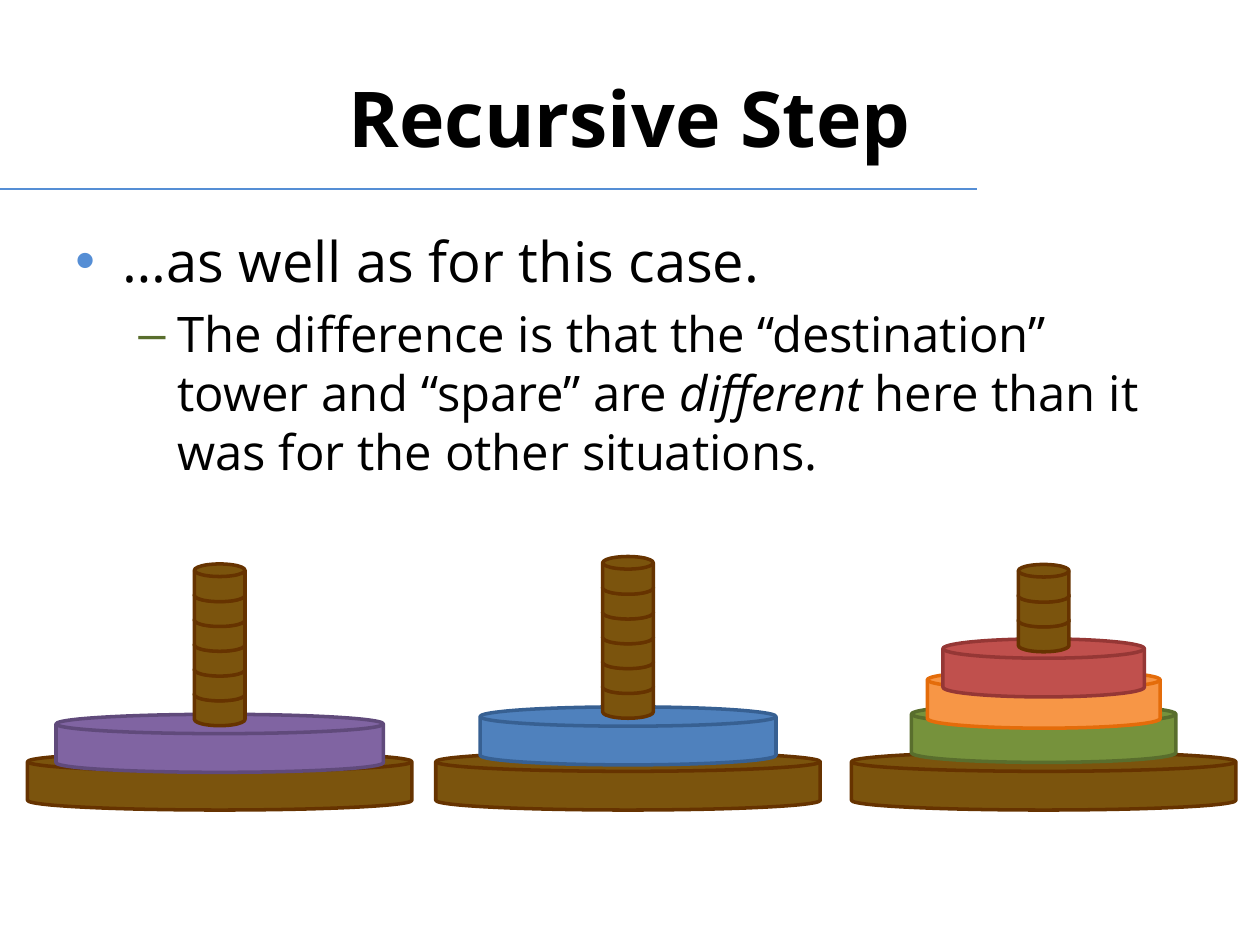
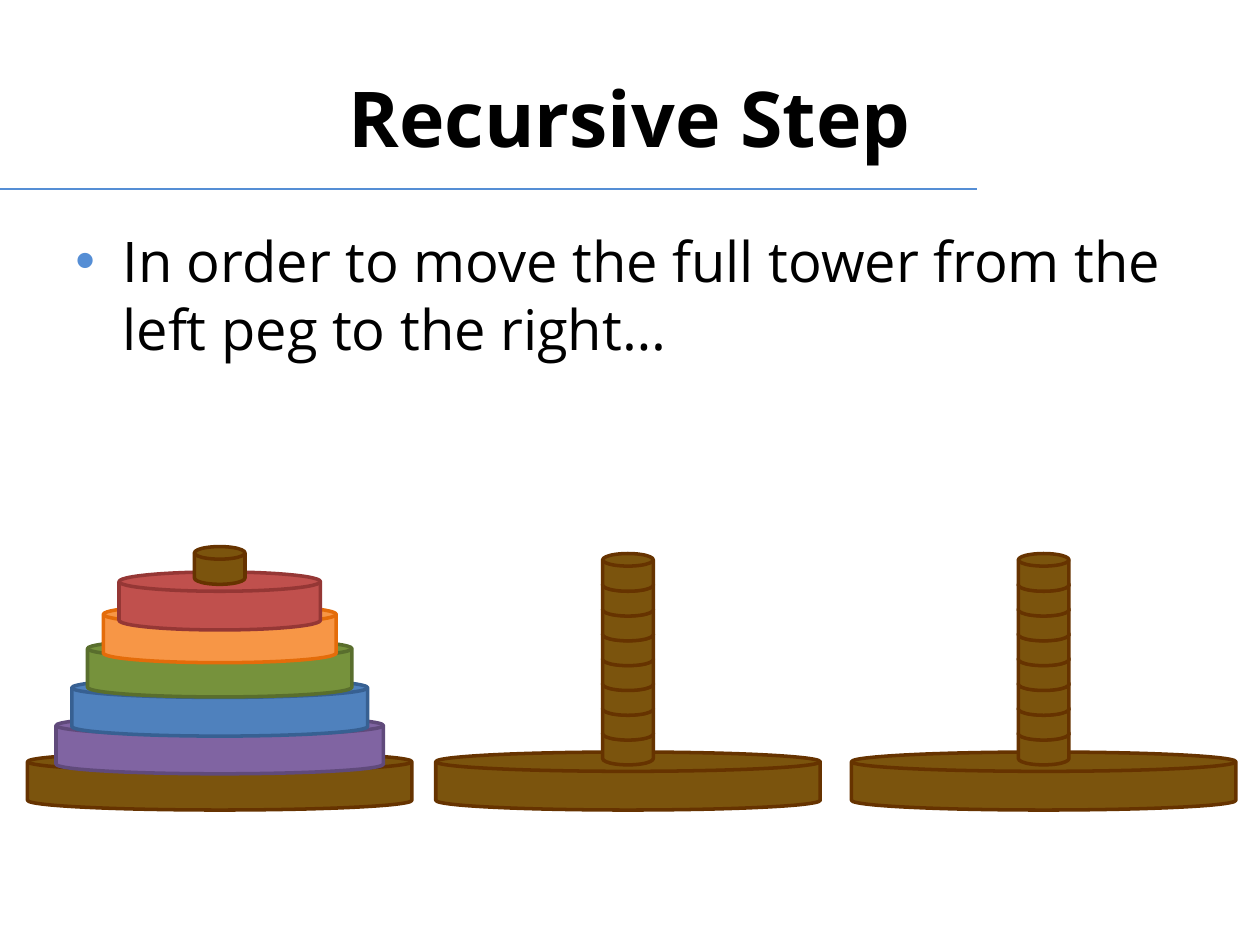
"""Builds two slides on the recursive step of the tower puzzle."""
from lxml.etree import SubElement
from pptx import Presentation
from pptx.dml.color import RGBColor
from pptx.enum.shapes import MSO_CONNECTOR, MSO_SHAPE
from pptx.enum.text import MSO_ANCHOR as Anchor, PP_ALIGN as Align
from pptx.oxml.ns import qn
from pptx.util import Cm, Pt

COLORS = {
    "text": "000000", "rule": "558ED5", "dot": "558ED5", "dash": "596E2D",
    "wood": "7B540D", "wood_edge": "663300",
    "purple": "8064A2", "purple_edge": "604A7B",
    "blue": "4F81BD", "blue_edge": "376092",
    "green": "76923C", "green_edge": "596E2D",
    "orange": "F79646", "orange_edge": "E46C0A",
    "red": "C0504D", "red_edge": "953735",
}
FONT = "Open Sans"
DISK_WIDTHS = {name: 6.6 - 0.635 * index for index, name in
               enumerate(("purple", "blue", "green", "orange", "red"))}
LEFT, MIDDLE, RIGHT = 4.43, 12.66, 21.04
BASE_TOP, BASE_WIDTH, DISK_HEIGHT = 15.16, 7.75, 1.17
PEG_WIDTH, PEG_HEIGHT, PEG_STEP = 1.02, 0.76, 0.5
LEVELS = (
    {"size": 32, "margin": 0.95, "hanging": 0.95, "bullet": "•", "color": "dot"},
    {"size": 28, "margin": 2.06, "hanging": 0.79, "bullet": "–", "color": "dash"},
)


def color(name):
    """Return the named colour."""
    return RGBColor.from_string(COLORS[name])


def add_text(paragraph, text, size=32, bold=False, italic=False):
    """Append a formatted run to the paragraph."""
    run = paragraph.add_run()
    run.text = text
    run.font.name = FONT
    run.font.size = Pt(size)
    run.font.bold = bold
    run.font.italic = italic
    run.font.color.rgb = color("text")


class Deck:
    """Holds the presentation, its style and the current slide."""

    def __init__(self):
        """Open an empty presentation of 10 by 7.5 inches."""
        self.presentation = Presentation()
        self.presentation.slide_width = Cm(25.4)
        self.presentation.slide_height = Cm(19.05)

    def new_slide(self, title):
        """Start a slide with its rule and title."""
        layout = self.presentation.slide_layouts[6]
        self.slide = self.presentation.slides.add_slide(layout)
        self.rule()
        frame = self.text_frame(0.76, 3.18)
        frame.vertical_anchor = Anchor.MIDDLE
        paragraph = frame.paragraphs[0]
        paragraph.alignment = Align.CENTER
        add_text(paragraph, title, size=44, bold=True)

    def rule(self):
        """Draw the thin line under the title."""
        line = self.slide.shapes.add_connector(
            MSO_CONNECTOR.STRAIGHT, Cm(0), Cm(3.81), Cm(19.69), Cm(3.81))
        line.line.color.rgb = color("rule")
        line.line.width = Pt(0.75)
        SubElement(line._element.spPr, qn("a:effectLst"))

    def text_frame(self, top, height):
        """Add a wrapping text box across the content width."""
        shape = self.slide.shapes.add_textbox(
            Cm(1.27), Cm(top), Cm(22.86), Cm(height))
        shape.text_frame.word_wrap = True
        return shape.text_frame

    def body(self, *items):
        """Add bulleted items, each a level and its (text, italic) runs."""
        frame = self.text_frame(4.45, 12.57)
        for index, (level, runs) in enumerate(items):
            paragraph = frame.add_paragraph() if index else frame.paragraphs[0]
            style = LEVELS[level]
            paragraph.level = level
            paragraph.space_before = Pt(style["size"] * 0.2)
            self.bullet(paragraph, style)
            for text, italic in runs:
                add_text(paragraph, text, size=style["size"], italic=italic)

    def bullet(self, paragraph, style):
        """Give the paragraph a coloured bullet and hanging indent."""
        properties = paragraph._p.get_or_add_pPr()
        properties.set("marL", str(Cm(style["margin"])))
        properties.set("indent", str(-Cm(style["hanging"])))
        fill = SubElement(properties, qn("a:buClr"))
        SubElement(fill, qn("a:srgbClr"), val=COLORS[style["color"]])
        SubElement(properties, qn("a:buFont"), typeface="Arial")
        SubElement(properties, qn("a:buChar"), char=style["bullet"])

    def disk(self, center, top, width, height, name):
        """Draw one flat cylinder around a vertical axis."""
        shape = self.slide.shapes.add_shape(
            MSO_SHAPE.FLOWCHART_MAGNETIC_DISK,
            Cm(center - width / 2), Cm(top), Cm(width), Cm(height))
        shape.shadow.inherit = False
        shape.fill.solid()
        shape.fill.fore_color.rgb = color(name)
        shape.line.color.rgb = color(name + "_edge")
        shape.line.width = Pt(2)

    def tower(self, center, peg_top, peg_count, **disk_tops):
        """Draw a base, its disks from the bottom up, and the visible peg."""
        self.disk(center, BASE_TOP, BASE_WIDTH, DISK_HEIGHT, "wood")
        for name, top in disk_tops.items():
            self.disk(center, top, DISK_WIDTHS[name], DISK_HEIGHT, name)
        for index in range(peg_count):
            top = peg_top - index * PEG_STEP
            self.disk(center, top, PEG_WIDTH, PEG_HEIGHT, "wood")


def main():
    """Build and save both slides."""
    deck = Deck()

    deck.new_slide("Recursive Step")
    deck.body(
        (0, [("…as well as for this case.", False)]),
        (1, [("The difference is that the “destination” tower and “spare” are ", False),
             ("different", True),
             (" here than it was for the other situations.", False)]))
    deck.tower(LEFT, 13.87, 6, purple=14.4)
    deck.tower(MIDDLE, 13.72, 6, blue=14.25)
    deck.tower(RIGHT, 12.38, 3, green=14.2, orange=13.51, red=12.88)

    deck.new_slide("Recursive Step")
    deck.body((0, [("In order to move the full tower from the left peg to the right…",
                    False)]))
    deck.tower(LEFT, 11.02, 1, purple=14.43, blue=13.67, green=12.88,
               orange=12.19, red=11.53)
    for center in (MIDDLE, RIGHT):
        deck.tower(center, 14.66, 8)

    deck.presentation.save("out.pptx")


main()
